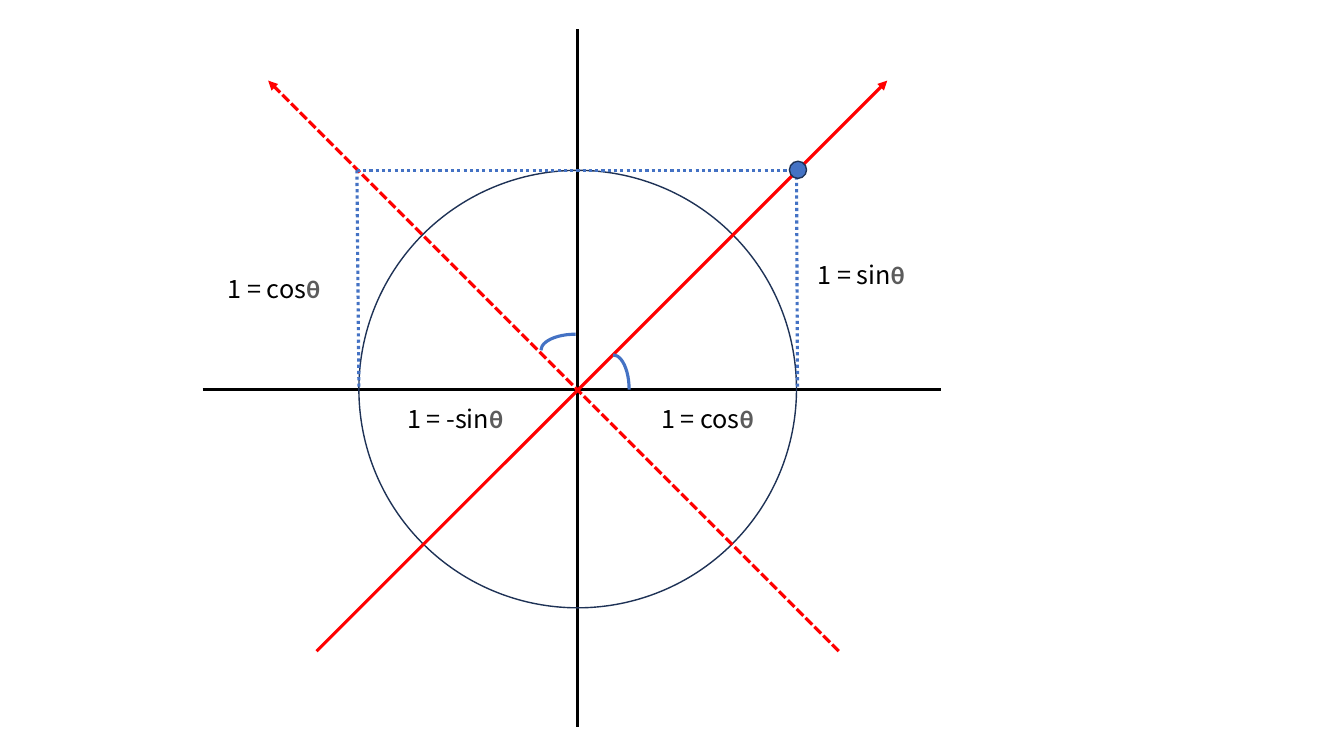
from lxml import etree
from pptx import Presentation
from pptx.dml.color import RGBColor
from pptx.enum import dml, shapes, text
from pptx.oxml import ns
from pptx.util import Pt

PX = 9144
HUES = {"black": "000000", "red": "FF0000", "blue": "4472C4",
        "navy": "1E3256", "gray": "5C5C5C"}
DOT = dml.MSO_LINE.ROUND_DOT
DASH = dml.MSO_LINE.SQUARE_DOT


def hue(name):
    return RGBColor.from_string(HUES[name])


def emu(*sizes):
    return [size * PX for size in sizes]


def stroke(line, color, width=2.25, dash=None):
    line.color.rgb = hue(color)
    line.width = Pt(width)
    if dash:
        line.dash_style = dash


def link(group, start, end, color, dash=None, arrow=False):
    wire = group.add_connector(shapes.MSO_CONNECTOR.STRAIGHT, *emu(*start, *end))
    stroke(wire.line, color, dash=dash)
    props = wire.element.spPr
    if arrow:
        etree.SubElement(props.find(ns.qn("a:ln")), ns.qn("a:tailEnd"), type="triangle")
    etree.SubElement(props, ns.qn("a:effectLst"))


def curve(group, kind, box, color, width=2.25, fill=None, turn=0):
    shape = group.add_shape(kind, *emu(*box))
    shape.shadow.inherit = False
    shape.rotation = turn
    stroke(shape.line, color, width)
    if fill:
        shape.fill.solid()
        shape.fill.fore_color.rgb = hue(fill)
    else:
        shape.fill.background()


def write(para, words, font="Noto Sans CJK KR", size=18, color="black", bold=False):
    run = para.add_run()
    run.text = words
    run.font.name = font
    run.font.size = Pt(size)
    run.font.color.rgb = hue(color)
    run.font.bold = bold


def label(group, words, box):
    frame = group.add_textbox(*emu(*box)).text_frame
    frame.word_wrap = True
    frame.auto_size = text.MSO_AUTO_SIZE.SHAPE_TO_FIT_TEXT
    para = frame.paragraphs[0]
    write(para, words)
    write(para, "θ", font="Calibri", color="gray", bold=True)


def graph(slide, left, top, width, height):
    group = slide.shapes.add_group_shape().shapes
    x, y, radius = left + 372, top + 357, 217
    oval, arc = shapes.MSO_SHAPE.OVAL, shapes.MSO_SHAPE.ARC

    link(group, (left, y), (left + width, y), "black")
    link(group, (x, top), (x, top + height), "black")
    curve(group, oval, (x - radius, y - radius, 2 * radius, 2 * radius), "navy", 1)
    for side, dash in ((1, None), (-1, DASH)):
        link(group, (x - side * 259, y + 260), (x + side * 307, y - 306),
             "red", dash, arrow=True)

    curve(group, arc, (x + 19, y - 34, 32, 69), "blue")
    west, east, roof = x - radius - 2, x + radius, y - radius
    link(group, (east, roof), (east + 1, y), "blue", DOT)
    link(group, (west, roof), (west + 2, y), "blue", DOT)
    link(group, (west, roof), (east, roof), "blue", DOT)
    curve(group, arc, (x - 18, y - 73, 32, 69), "blue", turn=270)
    curve(group, oval, (east - 7, roof - 9, 17, 17), "navy", 1, fill="blue")

    for words, across, down, wide in (("1 = sin", 228, -134, 147),
                                      ("1 = cos", 73, 9, 161),
                                      ("1 = -sin", -179, 9, 147),
                                      ("1 = cos", -357, -120, 161)):
        label(group, words, (x + across, y + down, wide, 40))


def main():
    deck = Presentation()
    deck.slide_width, deck.slide_height = emu(1333, 750)
    slide = deck.slides.add_slide(deck.slide_layouts[6])
    graph(slide, 201, 29, 732, 692)
    deck.save("out.pptx")


if __name__ == "__main__":
    main()
